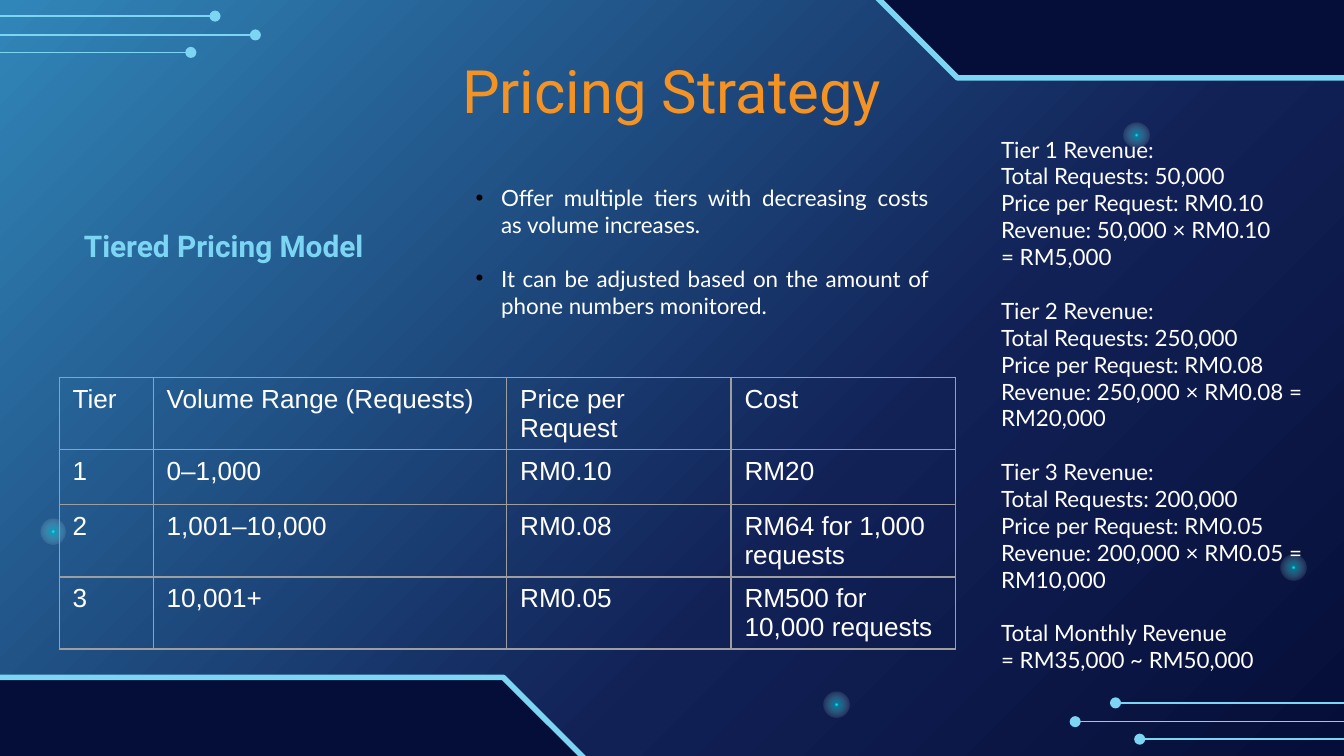
from lxml.etree import SubElement
from pptx import Presentation
from pptx.dml.color import RGBColor
from pptx.enum.shapes import MSO_CONNECTOR as Connector, MSO_SHAPE as Shape
from pptx.enum.text import MSO_ANCHOR as Anchor, PP_ALIGN as Align
from pptx.oxml import parse_xml
from pptx.oxml.ns import nsdecls, qn
from pptx.util import Inches, Pt

NAVY = RGBColor(0x05, 0x0E, 0x38)
SKY = RGBColor(0x7C, 0xD5, 0xF3)
ORANGE = RGBColor(0xF4, 0x93, 0x23)
WHITE = RGBColor(0xFF, 0xFF, 0xFF)
GRAY = RGBColor(0x9E, 0x9E, 0x9E)
BLACK = RGBColor(0, 0, 0)
BLUE = RGBColor(0x31, 0x86, 0xB9)
INDIGO = RGBColor(0x11, 0x20, 0x55)
AQUA = RGBColor(0x21, 0xFF, 0xFF)
TEAL = RGBColor(0x05, 0xD8, 0xE7)

# A 16:9 slide
deck = Presentation()
deck.slide_width = Inches(10)
deck.slide_height = Inches(10) * 9 // 16
page = deck.slides.add_slide(deck.slide_layouts[6])


def set_gradient(owner, fill, stops, direction):
    """Fill with (position %, colour, opacity %) stops and a direction element."""
    fill.gradient()
    gradient = owner.element.find(".//" + qn("a:gradFill"))
    for child in list(gradient):
        gradient.remove(child)
    stop_list = SubElement(gradient, qn("a:gsLst"))
    for position, color, opacity in stops:
        stop = SubElement(stop_list, qn("a:gs"), pos=str(position * 1000))
        tint = SubElement(stop, qn("a:srgbClr"), val=str(color))
        SubElement(tint, qn("a:alpha"), val=str(opacity * 1000))
    gradient.append(parse_xml(direction))


def add_text(bounds, paragraphs, font, anchor=Anchor.TOP, align=Align.LEFT):
    """Add a wrapped text box in one font; return its paragraphs."""
    box = page.shapes.add_textbox(*map(Inches, bounds))
    frame = box.text_frame
    layout = {"word_wrap": True, "vertical_anchor": anchor}
    for side in ("left", "top", "right", "bottom"):
        layout["margin_" + side] = Inches(0.1)
    for name, value in layout.items():
        setattr(frame, name, value)
    frame.text = "\n".join(paragraphs)
    for para in frame.paragraphs:
        para.alignment = align
        span = para.runs[0]
        for name, value in font.items():
            if name == "color":
                span.font.color.rgb = value
            else:
                setattr(span.font, name, value)
    return frame.paragraphs


# Background
set_gradient(page, page.background.fill,
             [(0, BLUE, 100), (64, INDIGO, 100), (100, NAVY, 100)],
             f'<a:lin {nsdecls("a")} ang="2700000" scaled="0"/>')

# Glowing dots
for left, top in [(6.13, 5.15), (9.53, 4.13), (8.36, 0.91), (0.3, 3.86)]:
    glow = page.shapes.add_shape(Shape.OVAL, Inches(left), Inches(top),
                                 Inches(0.19), Inches(0.19))
    glow.rotation = 14.6
    glow.shadow.inherit = False
    glow.line.fill.background()
    set_gradient(glow, glow.fill,
                 [(0, AQUA, 100), (9, TEAL, 48), (69, WHITE, 0), (100, WHITE, 0)],
                 f'<a:path {nsdecls("a")} path="circle">'
                 '<a:fillToRect l="50000" t="50000" r="50000" b="50000"/></a:path>')

# Snipped corner panels
for left, top, rotation in [(-0.74, 5.04, 0), (6.42, -0.83, 180)]:
    panel = page.shapes.add_shape(Shape.SNIP_2_SAME_RECTANGLE, Inches(left),
                                  Inches(top), Inches(5.19), Inches(1.41))
    panel.adjustments[0], panel.adjustments[1] = 0.5, 0
    panel.rotation = rotation
    panel.shadow.inherit = False
    panel.fill.solid()
    panel.fill.fore_color.rgb = NAVY
    panel.line.color.rgb = SKY
    panel.line.width = Pt(3)

# Circuit lines running in from beyond the slide edges
for start, tip, height in [(10.31, 8, 5.37), (10.79, 8.48, 5.5), (10.61, 8.3, 5.23),
                           (-0.41, 1.9, 0.26), (-0.9, 1.42, 0.39), (-0.71, 1.6, 0.12)]:
    circuit = page.shapes.add_connector(Connector.STRAIGHT, Inches(start), Inches(height),
                                        Inches(tip), Inches(height))
    circuit.line.color.rgb = SKY
    circuit.line.width = Pt(0.75)
    SubElement(circuit.line._get_or_add_ln(), qn("a:tailEnd"), type="oval")
    SubElement(circuit.element.spPr, qn("a:effectLst"))

# Title and subtitle
add_text((1.93, 0.35, 6.14, 0.63), ["Pricing Strategy"],
         {"name": "Roboto", "size": Pt(32), "color": ORANGE}, Anchor.MIDDLE, Align.CENTER)
add_text((-0.12, 1.52, 3.57, 0.61), ["Tiered Pricing Model"],
         {"name": "Roboto", "size": Pt(16), "bold": True, "color": SKY},
         Anchor.MIDDLE, Align.CENTER)

# Bulleted notes
BODY = {"name": "Lato", "size": Pt(12), "color": WHITE}
LINE_GAP = Pt(14.4)
notes = add_text((3.44, 1.27, 3.57, 1.22),
                 ["Offer multiple tiers with decreasing costs as volume increases.",
                  "It can be adjusted based on the amount of phone numbers monitored."],
                 BODY, align=Align.JUSTIFY)
notes[1].space_before = LINE_GAP
for para in notes:
    props = para._p.get_or_add_pPr()
    props.set("marL", str(Inches(0.19)))
    props.set("indent", str(-Inches(0.19)))
    bullet_color = SubElement(props, qn("a:buClr"))
    SubElement(bullet_color, qn("a:srgbClr"), val=str(BLACK))
    SubElement(props, qn("a:buFont"), typeface="Arial")
    SubElement(props, qn("a:buChar"), char="•")

# Pricing table
rows = [
    ("Tier", "Volume Range (Requests)", "Price per Request", "Cost"),
    ("1", "0–1,000", "RM0.10", "RM20"),
    ("2", "1,001–10,000", "RM0.08", "RM64 for 1,000 requests"),
    ("3", "10,001+", "RM0.05", "RM500 for 10,000 requests"),
]
holder = page.shapes.add_table(4, 4, Inches(0.44), Inches(2.81),
                               Inches(6.67), Inches(2.11))
table = holder.table
table.first_row = table.horz_banding = False
for column, width in zip(table.columns, (0.7, 2.63, 1.67, 1.67)):
    column.width = Inches(width)
for row, values in zip(table.rows, rows):
    row.height = Inches(0.41)
    for cell, value in zip(row.cells, values):
        cell.text = value
        para = cell.text_frame.paragraphs[0]
        para.line_spacing = Pt(15.7)
        font = para.runs[0].font
        font.name, font.size, font.color.rgb = "Arial", Pt(14), WHITE
        props = cell._tc.get_or_add_tcPr()
        for side in ("lnL", "lnR", "lnT", "lnB"):
            border = SubElement(props, qn("a:" + side), w=str(Pt(0.75)))
            border_fill = SubElement(border, qn("a:solidFill"))
            SubElement(border_fill, qn("a:srgbClr"), val=str(GRAY))
        cell.fill.background()
holder.height = Inches(2.11)

# Revenue breakdown
revenue = add_text((7.35, 0.91, 2.52, 4.25), [
    "Tier 1 Revenue:", "Total Requests: 50,000", "Price per Request: RM0.10",
    "Revenue: 50,000 × RM0.10", "= RM5,000",
    "Tier 2 Revenue:", "Total Requests: 250,000", "Price per Request: RM0.08",
    "Revenue: 250,000 × RM0.08 = RM20,000",
    "Tier 3 Revenue:", "Total Requests: 200,000", "Price per Request: RM0.05",
    "Revenue: 200,000 × RM0.05 = RM10,000",
    "Total Monthly Revenue", "= RM35,000 ~ RM50,000",
], BODY)
for para in revenue[1:]:
    if para.text.startswith(("Tier", "Total Monthly")):
        para.space_before = LINE_GAP

deck.save("out.pptx")
